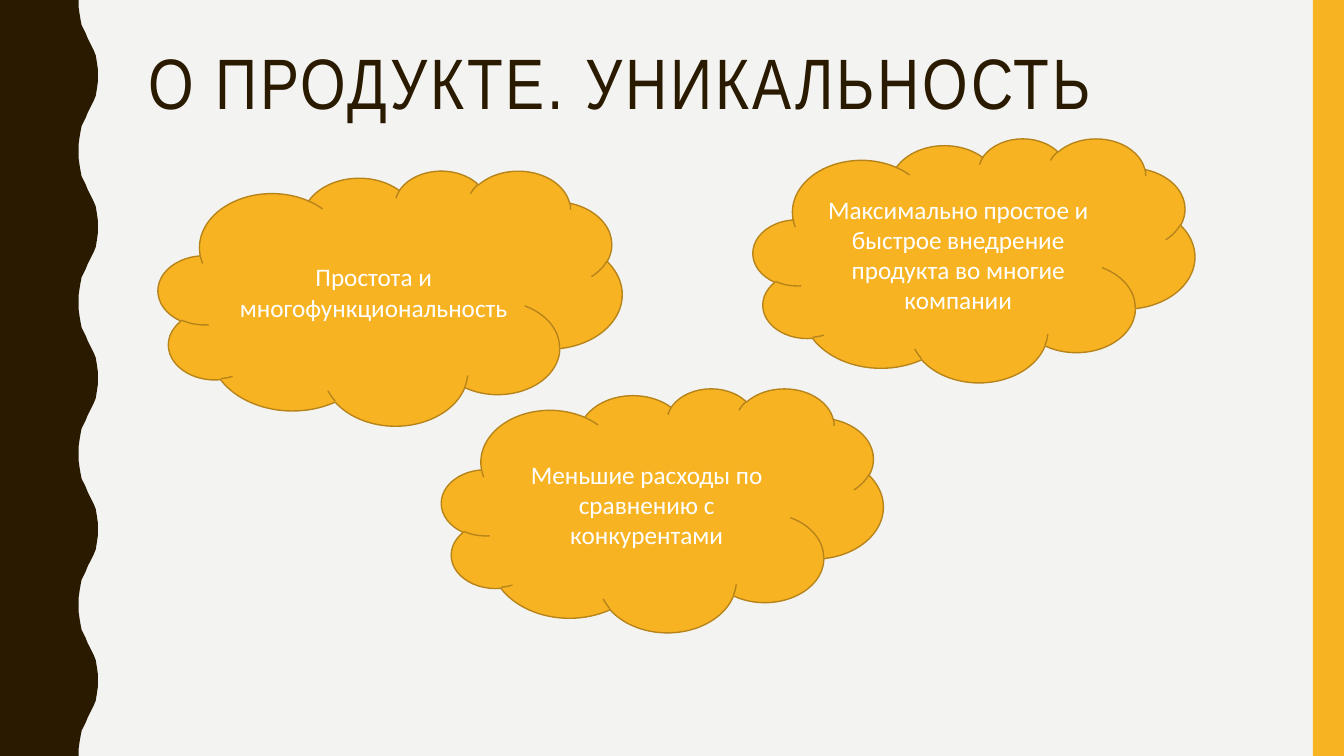
"""Build the slide about what makes the product unique."""
from pptx import Presentation
from pptx.dml.color import RGBColor
from pptx.enum.shapes import MSO_SHAPE
from pptx.enum.text import MSO_ANCHOR, MSO_AUTO_SIZE, PP_ALIGN
from pptx.util import Inches, Pt

CLOUD, RECTANGLE = MSO_SHAPE.CLOUD, MSO_SHAPE.RECTANGLE
TOP, MIDDLE = MSO_ANCHOR.TOP, MSO_ANCHOR.MIDDLE
LEFT, CENTER = PP_ALIGN.LEFT, PP_ALIGN.CENTER
NO_AUTOFIT = MSO_AUTO_SIZE.NONE

COLORS = {
    "background": "F3F3F2",
    "brown": "2A1A00",
    "amber": "F8B323",
    "outline": "B7841A",
    "white": "FFFFFF",
}
WIDTH, HEIGHT = 13.33, 7.5
WAVE_PERIOD = 1.5
HALF_WAVE = [
    (0.78, 0), (0.78, 0.07), (0.79, 0.14), (0.8, 0.2), (0.81, 0.25),
    (0.83, 0.29), (0.85, 0.33), (0.87, 0.38), (0.89, 0.42), (0.91, 0.46),
    (0.93, 0.5), (0.95, 0.55), (0.96, 0.61), (0.97, 0.68), (0.97, 0.75),
]
TITLE = "О ПРОДУКТЕ. УНИКАЛЬНОСТЬ"
TITLE_FONT = {"name": "Arial Narrow", "size": Pt(51), "bold": False}
BENEFIT_FONT = {"name": "Calibri", "size": Pt(18)}
BENEFITS = [
    ("Максимально простое и быстрое внедрение продукта во многие компании",
     (7.47, 1.37, 4.38, 2.42)),
    ("Меньшие расходы по сравнению с конкурентами", (4.38, 3.85, 4.38, 2.42)),
    ("Простота и многофункциональность", (1.57, 1.69, 4.6, 2.53)),
]


def color(name):
    """Return the named colour."""
    return RGBColor.from_string(COLORS[name])


def paint(shape, fill, outline=None):
    """Give a shape a flat fill and an optional thin outline."""
    shape.shadow.inherit = False
    shape.fill.solid()
    shape.fill.fore_color.rgb = color(fill)
    if outline:
        shape.line.color.rgb = color(outline)
        shape.line.width = Pt(1)
    else:
        shape.line.fill.background()


def write(shape, text, font, font_color, align, anchor):
    """Write one formatted paragraph into a shape and return its run."""
    frame = shape.text_frame
    frame.word_wrap = True
    frame.auto_size = NO_AUTOFIT
    frame.vertical_anchor = anchor
    paragraph = frame.paragraphs[0]
    paragraph.alignment = align
    run = paragraph.add_run()
    run.text = text
    for attribute, value in font.items():
        setattr(run.font, attribute, value)
    run.font.color.rgb = color(font_color)
    return run


def add_wavy_edge(slide):
    """Draw the dark left band with its repeating wave."""
    falling = [(x, WAVE_PERIOD - y) for x, y in reversed(HALF_WAVE[:-1])]
    wave = HALF_WAVE + falling
    repeats = round(HEIGHT / WAVE_PERIOD)
    edge = [(Inches(x), Inches(y + i * WAVE_PERIOD))
            for i in range(repeats) for x, y in wave]
    builder = slide.shapes.build_freeform(0, 0, scale=1.0)
    builder.add_line_segments(edge + [(0, Inches(HEIGHT))], close=True)
    paint(builder.convert_to_shape(), "brown")


def add_shape(slide, kind, box, fill, outline=None):
    """Add a painted preset shape at a box given in inches."""
    shape = slide.shapes.add_shape(kind, *map(Inches, box))
    paint(shape, fill, outline)
    return shape


def set_title(slide):
    """Place and format the slide title."""
    title = slide.shapes.title
    box = {"left": 1.37, "top": 0.42, "width": 11.13, "height": 1.63}
    for attribute, value in box.items():
        setattr(title, attribute, Inches(value))
    run = write(title, TITLE, TITLE_FONT, "brown", LEFT, TOP)
    run._r.get_or_add_rPr().set("spc", "200")
    title.text_frame.paragraphs[0].line_spacing = 0.9


def add_benefit(slide, text, box):
    """Add a cloud that names one benefit."""
    cloud = add_shape(slide, CLOUD, box, "amber", "outline")
    write(cloud, text, BENEFIT_FONT, "white", CENTER, MIDDLE)


def main():
    """Build and save the slide."""
    presentation = Presentation()
    presentation.slide_width = Inches(WIDTH)
    presentation.slide_height = Inches(HEIGHT)
    slide = presentation.slides.add_slide(
        presentation.slide_layouts.get_by_name("Title Only"))
    slide.background.fill.solid()
    slide.background.fill.fore_color.rgb = color("background")
    add_wavy_edge(slide)
    add_shape(slide, RECTANGLE, (13.02, 0, 0.31, HEIGHT), "amber")
    set_title(slide)
    for text, box in BENEFITS:
        add_benefit(slide, text, box)
    presentation.save("out.pptx")


if __name__ == "__main__":
    main()
